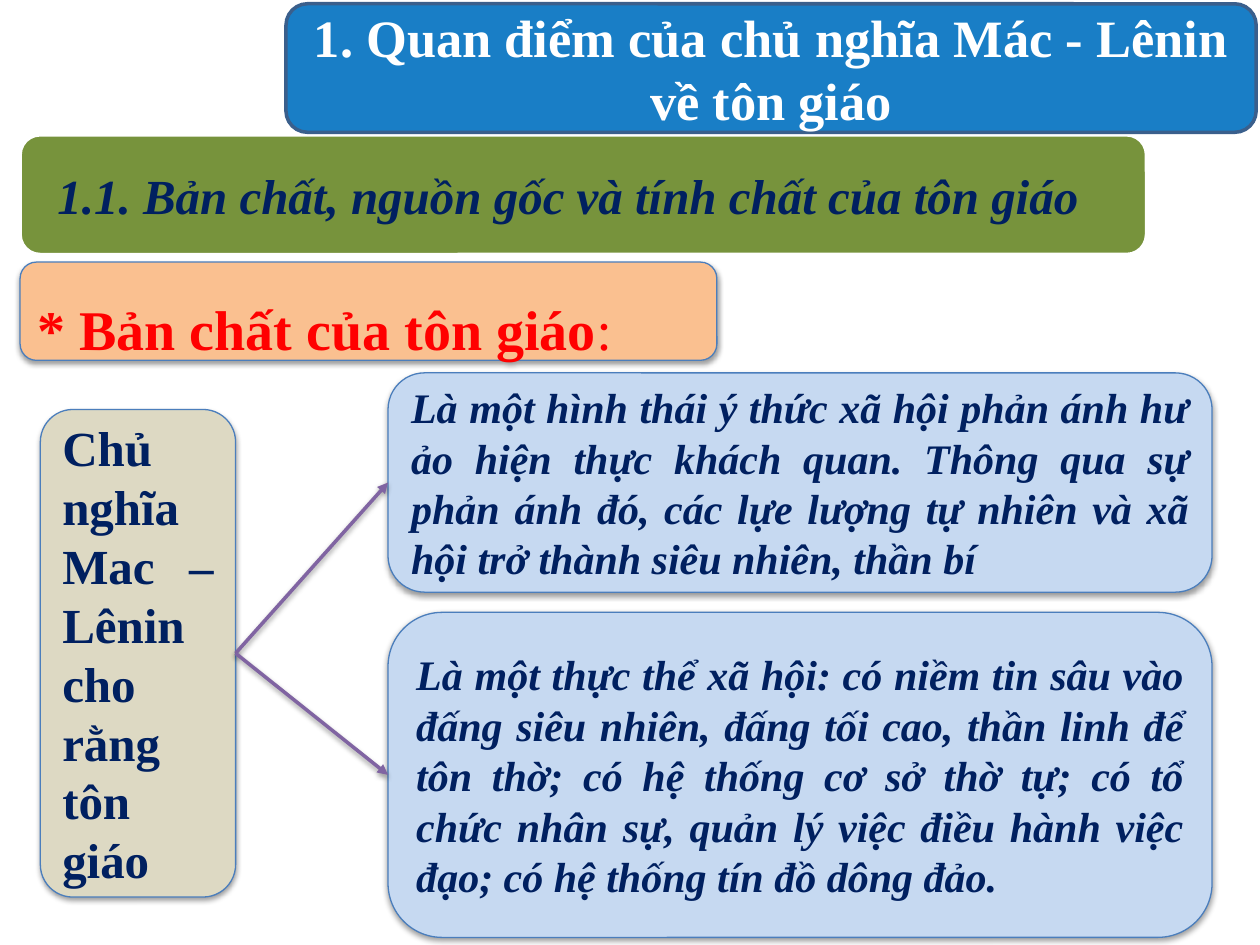
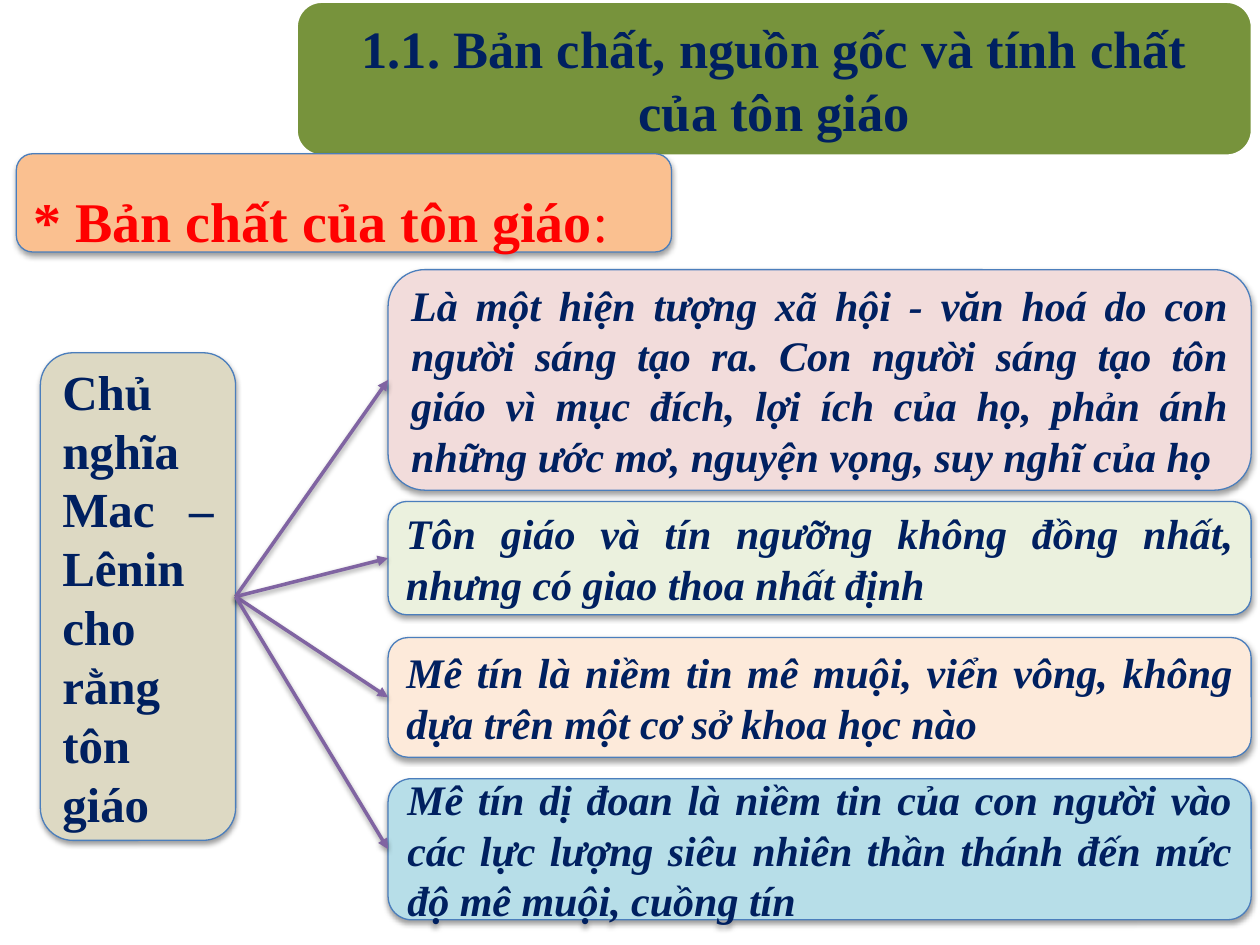
from dataclasses import dataclass

from lxml import etree
from pptx import Presentation
from pptx.dml.color import RGBColor
from pptx.enum.shapes import MSO_CONNECTOR, MSO_SHAPE
from pptx.enum.text import MSO_ANCHOR, PP_ALIGN as Align
from pptx.oxml.ns import qn
from pptx.shapes.autoshape import Shape
from pptx.slide import Slide
from pptx.util import Emu, Pt

PX = 9144  # EMU in one px, 100 px to the inch
FONT = "Times New Roman"

WHITE = RGBColor(0xFF, 0xFF, 0xFF)
NAVY = RGBColor(0x00, 0x20, 0x60)
RED = RGBColor(0xFF, 0x00, 0x00)
BLUE = RGBColor(0x00, 0x70, 0xC0)
DARK_BLUE = RGBColor(0x3A, 0x5F, 0x8C)
OUTLINE = RGBColor(0x4B, 0x7E, 0xBC)
GREEN = RGBColor(0x77, 0x93, 0x3C)
ORANGE = RGBColor(0xFA, 0xC0, 0x90)
TAN = RGBColor(0xDD, 0xD9, 0xC3)
PALE_BLUE = RGBColor(0xC6, 0xD9, 0xF1)
PALE_PINK = RGBColor(0xF2, 0xDC, 0xDB)
PALE_GREEN = RGBColor(0xEB, 0xF1, 0xDE)
PALE_ORANGE = RGBColor(0xFD, 0xEA, 0xDA)
PALE_TEAL = RGBColor(0xB7, 0xDE, 0xE8)
PURPLE = RGBColor(0x80, 0x64, 0xA2)

CHAPTER = "1. Quan điểm của chủ nghĩa Mác - Lênin về tôn giáo"
SECTION = "1.1. Bản chất, nguồn gốc và tính chất của tôn giáo"
TOPIC = "* Bản chất của tôn giáo"
SOURCE = "Chủ nghĩa Mac – Lênin cho rằng tôn giáo"
CARD_LEFT = 308


@dataclass(frozen=True)
class Area:
    left: int
    top: int
    width: int
    height: int


@dataclass(frozen=True)
class Card:
    top: int
    height: int
    fill: RGBColor
    text: str
    after: int = 12


ESSENCE_CARDS = [
    Card(296, 174, PALE_BLUE,
         "Là một hình thái ý thức xã hội phản ánh hư ảo hiện thực khách quan. "
         "Thông qua sự phản ánh đó, các lựe lượng tự nhiên và xã hội trở thành "
         "siêu nhiên, thần bí"),
    Card(486, 258, PALE_BLUE,
         "Là một thực thể xã hội: có niềm tin sâu vào đấng siêu nhiên, đấng tối "
         "cao, thần linh để tôn thờ; có hệ thống cơ sở thờ tự; có tổ chức nhân "
         "sự, quản lý việc điều hành việc đạo; có hệ thống tín đồ dông đảo.",
         after=0),
]
BELIEF_CARDS = [
    Card(214, 175, PALE_PINK,
         "Là một hiện tượng xã hội - văn hoá do con người sáng tạo ra. Con người "
         "sáng tạo tôn giáo vì mục đích, lợi ích của họ, phản ánh những ước mơ, "
         "nguyện vọng, suy nghĩ của họ"),
    Card(398, 90, PALE_GREEN,
         "Tôn giáo và tín ngưỡng không đồng nhất, nhưng có giao thoa nhất định"),
    Card(506, 95, PALE_ORANGE,
         "Mê tín là niềm tin mê muội, viển vông, không dựa trên một cơ sở khoa "
         "học nào"),
    Card(618, 112, PALE_TEAL,
         "Mê tín dị đoan là niềm tin của con người vào các lực lượng siêu nhiên "
         "thần thánh đến mức độ mê muội, cuồng tín"),
]


def px(length: int) -> Emu:
    return Emu(length * PX)


def add_shadow(properties) -> None:
    """Give shape properties a soft shadow straight below."""
    effects = properties.find(qn("a:effectLst"))
    if effects is None:
        effects = etree.SubElement(properties, qn("a:effectLst"))
    shadow = etree.SubElement(effects, qn("a:outerShdw"), blurRad="40000",
                              dist="20000", dir="5400000", rotWithShape="0")
    color = etree.SubElement(shadow, qn("a:srgbClr"), val="000000")
    etree.SubElement(color, qn("a:alpha"), val="38000")


def add_box(page: Slide, area: Area, fill: RGBColor, *, line: RGBColor = OUTLINE,
            weight: float = 0.75, shadow: bool = True) -> Shape:
    box = page.shapes.add_shape(MSO_SHAPE.ROUNDED_RECTANGLE, px(area.left),
                                px(area.top), px(area.width), px(area.height))
    box.fill.solid()
    box.fill.fore_color.rgb = fill
    box.line.color.rgb = line
    box.line.width = Pt(weight)
    box.shadow.inherit = False
    if shadow:
        add_shadow(box._element.spPr)
    return box


def write(box: Shape, text: str, *, size: int, color: RGBColor = NAVY,
          italic: bool = False, align: Align = Align.JUSTIFY, spacing: float = 1.0,
          before: int = 0, after: int = 0, plain_end: str = "") -> None:
    """Fill a box with bold text, followed by an optional ending that is not bold."""
    frame = box.text_frame
    frame.word_wrap = True
    frame.vertical_anchor = MSO_ANCHOR.MIDDLE
    para = frame.paragraphs[0]
    para.alignment = align
    para.line_spacing = spacing
    para.space_before, para.space_after = Pt(before), Pt(after)
    for words, bold in ((text, True), (plain_end, False)):
        if words:
            span = para.add_run()
            span.text = words
            span.font.name = FONT
            span.font.size = Pt(size)
            span.font.bold = bold
            span.font.italic = italic
            span.font.color.rgb = color


def add_section(page: Slide, area: Area, *, size: int, italic: bool,
                align: Align) -> None:
    box = add_box(page, area, GREEN, line=WHITE, weight=2, shadow=False)
    frame = box.text_frame
    frame.margin_left = frame.margin_right = px(25)
    frame.margin_top = frame.margin_bottom = 0
    write(box, SECTION, size=size, italic=italic, align=align)


def add_chapter(page: Slide) -> None:
    box = add_box(page, Area(227, 3, 770, 102), BLUE, line=DARK_BLUE, weight=2,
                  shadow=False)
    color = box._element.spPr.find(qn("a:solidFill"))[0]
    etree.SubElement(color, qn("a:alpha"), val="90000")
    write(box, CHAPTER, size=30, color=WHITE, align=Align.CENTER, before=6)


def add_topic(page: Slide, left: int, top: int, width: int) -> None:
    box = add_box(page, Area(left, top, width, 78), ORANGE)
    write(box, TOPIC, size=32, color=RED, spacing=1.5, before=6, after=6,
          plain_end=":")


def add_arrow(page: Slide, start: Shape, end: Shape) -> None:
    """Join the right side of one box to the left side of another."""
    arrow = page.shapes.add_connector(MSO_CONNECTOR.STRAIGHT, 0, 0, 0, 0)
    arrow.begin_connect(start, 3)
    arrow.end_connect(end, 1)
    arrow.line.color.rgb = PURPLE
    arrow.line.width = Pt(2)
    etree.SubElement(arrow.line._get_or_add_ln(), qn("a:tailEnd"), type="triangle")
    add_shadow(arrow._element.spPr)


def add_branches(page: Slide, source_top: int, card_width: int,
                 cards: list[Card]) -> None:
    """Draw the source box, its cards and an arrow to each card."""
    source = add_box(page, Area(32, source_top, 155, 387), TAN)
    write(source, SOURCE, size=28)
    boxes = []
    for card in cards:
        box = add_box(page, Area(CARD_LEFT, card.top, card_width, card.height),
                      card.fill)
        write(box, card.text, size=24, italic=True, after=card.after)
        boxes.append(box)
    for box in boxes:
        add_arrow(page, source, box)


def main() -> None:
    deck = Presentation()
    deck.slide_width, deck.slide_height = px(1000), px(750)
    blank = deck.slide_layouts[6]

    page = deck.slides.add_slide(blank)
    add_section(page, Area(16, 107, 894, 95), size=28, italic=True, align=Align.LEFT)
    add_chapter(page)
    add_topic(page, 16, 208, 553)
    add_branches(page, 325, 654, ESSENCE_CARDS)

    page = deck.slides.add_slide(blank)
    add_section(page, Area(235, 1, 759, 123), size=30, italic=False,
                align=Align.CENTER)
    add_topic(page, 13, 122, 520)
    add_branches(page, 280, 685, BELIEF_CARDS)

    deck.save("out.pptx")


if __name__ == "__main__":
    main()
